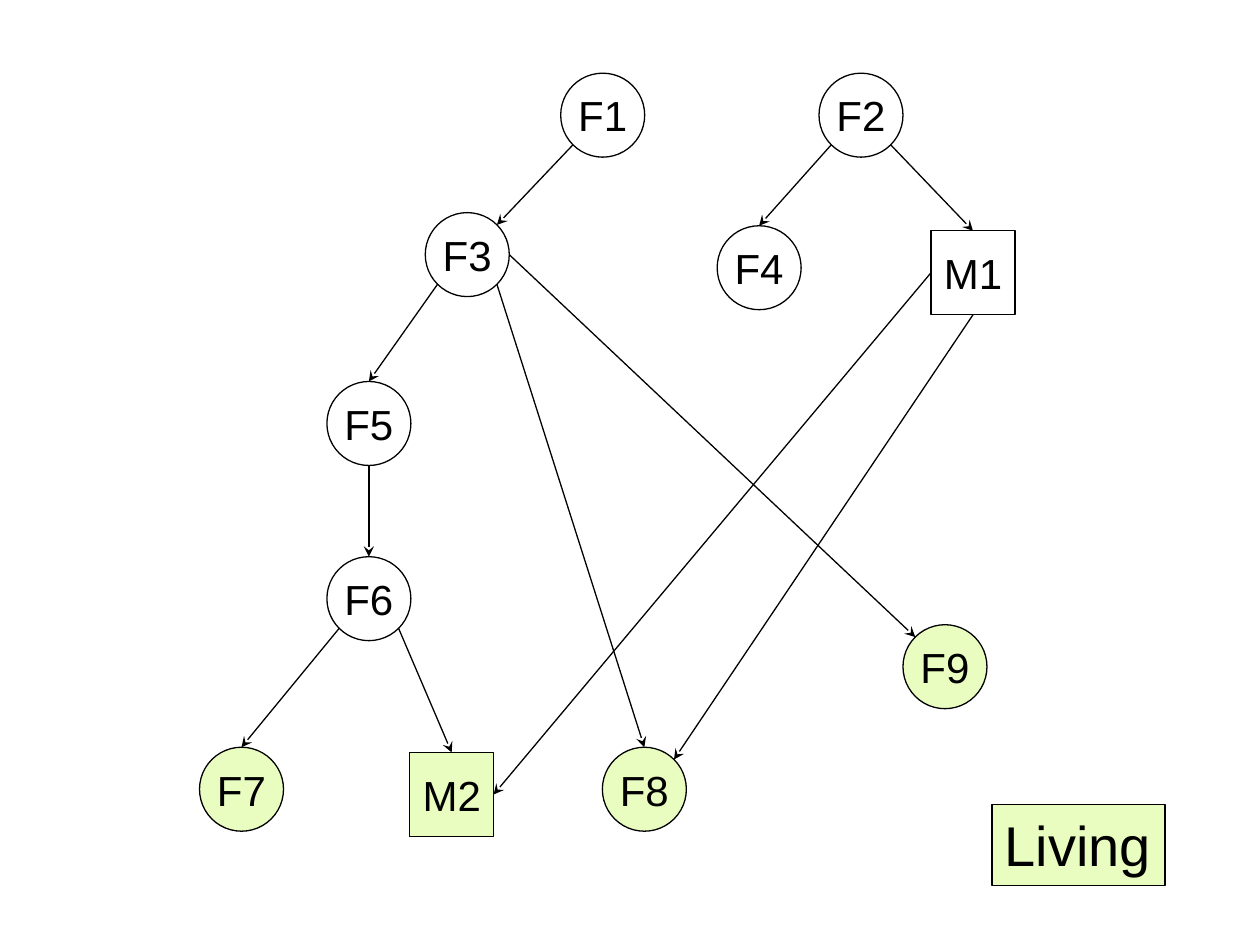
from math import sqrt
from pptx import Presentation
from pptx.dml.color import RGBColor
from pptx.enum.shapes import MSO_CONNECTOR, MSO_SHAPE
from pptx.enum.text import MSO_ANCHOR, PP_ALIGN
from pptx.oxml.ns import qn
from pptx.util import Pt
from lxml.etree import SubElement

COLORS = {"ink": "000000", "living": "EAFDC1"}
FONT = "Arial"
NODE = 48

# name: left, top; F is drawn as a circle, M as a square
PEOPLE = {
    "F1": (320.4, 41.8), "F2": (468, 41.8),
    "F3": (243, 121.5), "F4": (409.8, 129), "M1": (532, 131.9),
    "F5": (186.8, 218), "F6": (186.8, 318.1),
    "F7": (114, 427), "M2": (234.1, 430), "F8": (344.2, 427), "F9": (516, 357),
}
LIVING = {"F7", "F8", "F9", "M2"}

# parent, side it leaves from, child, side it arrives at
DESCENT = [
    ("F1", "SW", "F3", "NE"), ("F3", "SW", "F5", "N"), ("F5", "S", "F6", "N"),
    ("F6", "SW", "F7", "N"), ("F6", "SE", "M2", "N"), ("F3", "SE", "F8", "N"),
    ("F3", "E", "F9", "NW"), ("F2", "SW", "F4", "N"), ("M1", "S", "F8", "NE"),
    ("F2", "SE", "M1", "N"), ("M1", "W", "M2", "E"),
]
DIAGONAL = sqrt(0.5)
SIDES = {
    "N": (0, -1), "S": (0, 1), "E": (1, 0), "W": (-1, 0),
    "NE": (DIAGONAL, -DIAGONAL), "NW": (-DIAGONAL, -DIAGONAL),
    "SE": (DIAGONAL, DIAGONAL), "SW": (-DIAGONAL, DIAGONAL),
}


def color(key):
    """Return a palette colour."""
    return RGBColor.from_string(COLORS[key])


def outline(line):
    """Give a line the thin black stroke."""
    line.color.rgb = color("ink")
    line.width = Pt(0.75)


def add_label(slide, kind, box, text, size, alive, align, anchor, space):
    """Add an outlined shape holding one line of text."""
    shape = slide.shapes.add_shape(kind, *map(Pt, box))
    shape.shadow.inherit = False
    outline(shape.line)
    if alive:
        shape.fill.solid()
        shape.fill.fore_color.rgb = color("living")
    else:
        shape.fill.background()
    frame = shape.text_frame
    frame.text = text
    frame.word_wrap = False
    frame.vertical_anchor = anchor
    paragraph = frame.paragraphs[0]
    paragraph.alignment = align
    paragraph.space_before = Pt(space)
    font = paragraph.runs[0].font
    font.name, font.size = FONT, Pt(size)
    font.color.rgb = color("ink")


def side_point(name, side):
    """Return the point on a person's outline in a compass direction."""
    return [Pt(start + NODE / 2 * (1 + step))
            for start, step in zip(PEOPLE[name], SIDES[side])]


def add_arrow(slide, parent, leave, child, arrive):
    """Draw an arrow from parent to child."""
    arrow = slide.shapes.add_connector(
        MSO_CONNECTOR.STRAIGHT,
        *side_point(parent, leave), *side_point(child, arrive))
    outline(arrow.line)
    properties = arrow._element.spPr
    SubElement(properties.find(qn("a:ln")), qn("a:tailEnd"), type="stealth")
    SubElement(properties, qn("a:effectLst"))


deck = Presentation()
deck.slide_width, deck.slide_height = Pt(720), Pt(540)
pedigree = deck.slides.add_slide(deck.slide_layouts[6])

for name, (left, top) in PEOPLE.items():
    kind = MSO_SHAPE.OVAL if name.startswith("F") else MSO_SHAPE.RECTANGLE
    add_label(pedigree, kind, (left, top, NODE, NODE), name, 24,
              name in LIVING, PP_ALIGN.CENTER, MSO_ANCHOR.MIDDLE, 4.8)
for link in DESCENT:
    add_arrow(pedigree, *link)
add_label(pedigree, MSO_SHAPE.RECTANGLE, (566.9, 459.9, 98.9, 46.2), "Living", 32,
          True, PP_ALIGN.LEFT, MSO_ANCHOR.TOP, 2.5)

deck.save("out.pptx")
